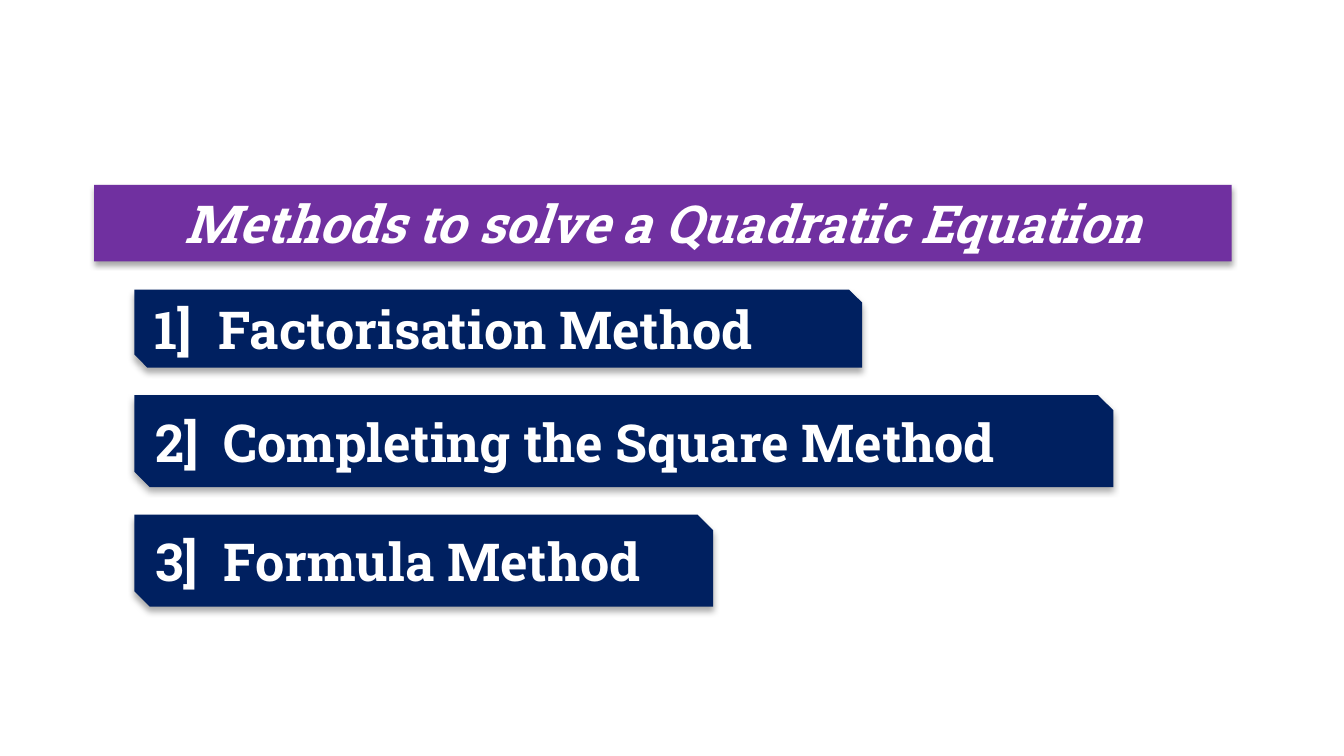
from lxml import etree
from pptx import Presentation
from pptx.dml.color import RGBColor
from pptx.enum import shapes, text
from pptx.oxml import ns
from pptx.util import Emu, Pt

PX = 4572  # 200 px to the inch
FONT = {"name": "Roboto Slab", "size": Pt(28), "bold": True}
WHITE, PURPLE, NAVY = "FFFFFF", "7030A0", "002060"
METHODS = [  # name, width of its number, box
    ("Factorisation Method", 96, (200, 431, 1083, 116)),
    ("Completing the Square Method", 102, (200, 588, 1457, 137)),
    ("Formula Method", 102, (200, 766, 861, 137)),
]


def px(length):
    return Emu(length * PX)


def color(hex_string):
    return RGBColor.from_string(hex_string)


def add_shadow(shape, opacity, blur, distance):
    """Cast a black shadow straight down; opacity in percent, lengths in points."""
    shape.shadow.inherit = False
    effects = shape._element.spPr.find(ns.qn("a:effectLst"))
    shadow = etree.SubElement(
        effects, ns.qn("a:outerShdw"), blurRad=str(Pt(blur)),
        dist=str(Pt(distance)), dir="5400000", algn="t", rotWithShape="0")
    black = etree.SubElement(shadow, ns.qn("a:srgbClr"), val="000000")
    etree.SubElement(black, ns.qn("a:alpha"), val=str(opacity * 1000))


def add_banner(page, kind, box, fill, wording, align, shadow, **font):
    """Add a filled shape with one line of white text and return its paragraph."""
    shape = page.shapes.add_shape(kind, *map(px, box))
    shape.fill.solid()
    shape.fill.fore_color.rgb = color(fill)
    shape.line.fill.background()
    add_shadow(shape, *shadow)
    shape.text_frame.vertical_anchor = text.MSO_ANCHOR.MIDDLE
    para = shape.text_frame.paragraphs[0]
    para.alignment = align
    span = para.add_run()
    span.text = wording
    for name, value in {**FONT, **font}.items():
        setattr(span.font, name, value)
    span.font.color.rgb = color(WHITE)
    return para


def add_title(page, box):
    add_banner(page, shapes.MSO_SHAPE.RECTANGLE, box, PURPLE,
               "Methods to solve a Quadratic Equation",
               text.PP_ALIGN.CENTER, (35, 3.1, 1.8), italic=True)


def add_method(page, box, number, name, number_width):
    para = add_banner(page, shapes.MSO_SHAPE.SNIP_2_DIAG_RECTANGLE, box, NAVY,
                      f"{number}]\t{name}", text.PP_ALIGN.LEFT, (32, 3.5, 2.2))
    indent = px(number_width)
    properties = para._p.get_or_add_pPr()
    properties.set("marL", str(indent))
    properties.set("indent", str(-indent))


def main():
    deck = Presentation()
    deck.slide_width, deck.slide_height = px(2000), px(1125)
    page = deck.slides.add_slide(deck.slide_layouts[6])
    add_title(page, (140, 275, 1693, 114))
    for number, (name, number_width, box) in enumerate(METHODS, 1):
        add_method(page, box, number, name, number_width)
    deck.save("out.pptx")


if __name__ == "__main__":
    main()
